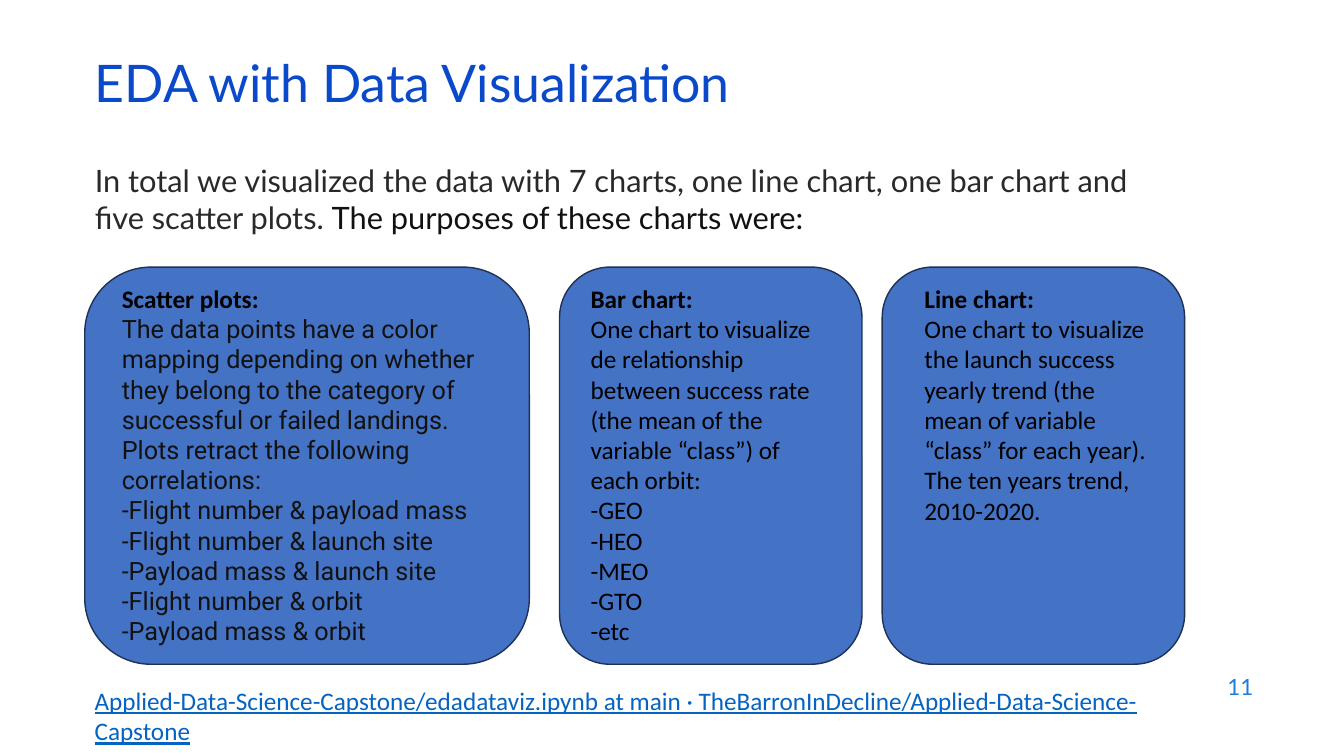
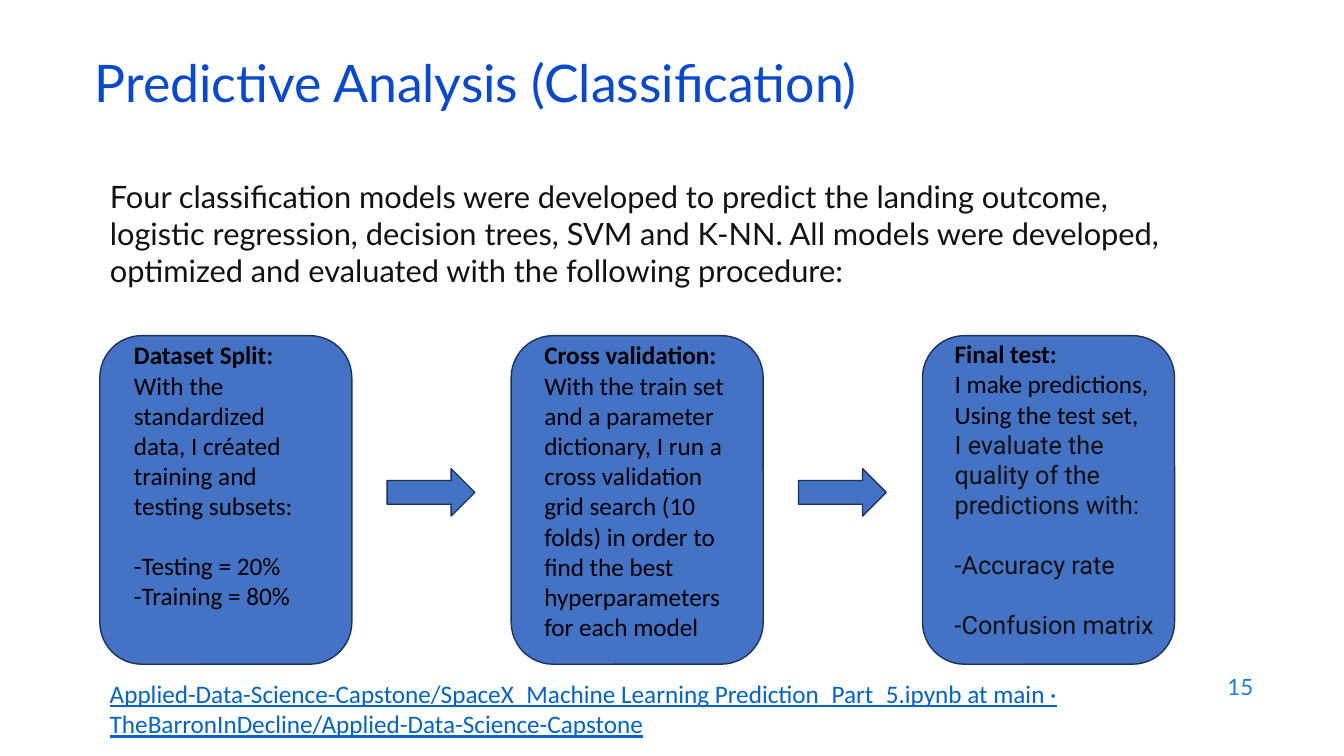
from lxml import etree
from pptx import Presentation
from pptx.dml.color import RGBColor
from pptx.enum.shapes import MSO_SHAPE
from pptx.enum.text import MSO_ANCHOR, MSO_AUTO_SIZE, PP_ALIGN
from pptx.oxml.ns import qn
from pptx.util import Pt

ROUNDED = MSO_SHAPE.ROUNDED_RECTANGLE
ARROW = MSO_SHAPE.RIGHT_ARROW
MIDDLE, TOP = MSO_ANCHOR.MIDDLE, MSO_ANCHOR.TOP
LEFT, RIGHT = PP_ALIGN.LEFT, PP_ALIGN.RIGHT
NO_FIT = MSO_AUTO_SIZE.NONE

PX = 9144
COLORS = {
    "title": "0B49CB", "number": "1C7DDB", "gray": "292929", "ink": "111111",
    "black": "000000", "link": "0563C1", "card": "4472C4", "edge": "1E3256",
}
STYLES = {
    "title": ("Lato", 37, "title"),
    "number": ("Lato", 16, "number"),
    "intro_gray": ("Lato", 22, "gray"),
    "intro": ("Lato", 22, "ink"),
    "heading": ("Calibri", 18, "black"),
    "plain": ("Calibri", 18, "black"),
    "roboto": ("Roboto", 18, "ink"),
    "link": ("Calibri", 18, "link"),
}
LINE_GAP = 21

SLIDES = [
    {
        "number": "11",
        "title": "EDA with Data Visualization",
        "intro_box": (84, 155, 1066, 85),
        "intro": [
            ("In total we visualized the data with 7 charts, one line chart, "
             "one bar chart and five scatter plots. ", "intro_gray"),
            ("The purposes of these charts were:", "intro"),
        ],
        "cards": [(84, 265, 441, 394), (555, 265, 300, 394), (875, 265, 300, 394)],
        "texts": [
            ((111, 276, 387, 374), [
                ("Scatter plots:", "heading", 0),
                ("The data points have a color mapping depending on whether they "
                 "belong to the category of successful or failed landings. Plots "
                 "retract the following correlations:", "roboto", 0),
                ("-Flight number & payload mass", "roboto", 0),
                ("-Flight number & launch site", "roboto", 0),
                ("-Payload mass & launch site", "roboto", 0),
                ("-Flight number & orbit", "roboto", 0),
                ("-Payload mass & orbit", "roboto", 0),
            ]),
            ((576, 276, 253, 374), [
                ("Bar chart:", "heading", 0),
                ("One chart to visualize de relationship between success rate "
                 "(the mean of the variable “class”) of each orbit:", "plain", 0),
                ("-GEO", "plain", 0),
                ("-HEO", "plain", 0),
                ("-MEO", "plain", 0),
                ("-GTO", "plain", 0),
                ("-etc", "plain", 0),
            ]),
            ((907, 276, 243, 252), [
                ("Line chart:", "heading", 0),
                ("One chart to visualize the launch success yearly trend (the mean "
                 "of variable “class” for each year).", "plain", 0),
                ("The ten years trend, 2010-2020.", "plain", 0),
            ]),
        ],
        "arrows": [],
        "link_box": (84, 675, 1091, 71),
        "link": "Applied-Data-Science-Capstone/edadataviz.ipynb at main · "
                "TheBarronInDecline/Applied-Data-Science-Capstone",
    },
    {
        "number": "15",
        "title": "Predictive Analysis (Classification)",
        "intro_box": (99, 171, 1066, 146),
        "intro": [
            ("Four classification models were developed to predict the landing "
             "outcome, logistic regression, decision trees, SVM and K-NN. All "
             "models were developed, optimized and evaluated with the following "
             "procedure:", "intro"),
        ],
        "cards": [(99 + 408 * step, 333, 250, 326) for step in range(3)],
        "texts": [
            ((123, 332, 203, 283), [
                ("Dataset Split:", "heading", 0),
                ("With the standardized data, I créated training and testing "
                 "subsets:", "plain", 0),
                ("-Testing = 20%", "plain", LINE_GAP),
                ("-Training = 80%", "plain", 0),
            ]),
            ((530, 332, 203, 313), [
                ("Cross validation:", "heading", 0),
                ("With the train set and a parameter dictionary, I run a cross "
                 "validation grid search (10 folds) in order to find the best "
                 "hyperparameters for each model", "plain", 0),
            ]),
            ((937, 331, 228, 313), [
                ("Final test:", "heading", 0),
                ("I make predictions,", "plain", 0),
                ("Using the test set,", "plain", 0),
                ("I evaluate the quality of the predictions with:", "roboto", 0),
                ("-Accuracy rate", "roboto", LINE_GAP),
                ("-Confusion matrix", "roboto", LINE_GAP),
            ]),
        ],
        "arrows": [(384 + 408 * step, 465, 87, 47) for step in range(2)],
        "link_box": (99, 668, 1066, 71),
        "link": "Applied-Data-Science-Capstone/SpaceX_Machine Learning "
                "Prediction_Part_5.ipynb at main · "
                "TheBarronInDecline/Applied-Data-Science-Capstone",
    },
]


def style_run(run, style):
    font_name, size, color = STYLES[style]
    run.font.name = font_name
    run.font.size = Pt(size)
    run.font.color.rgb = RGBColor.from_string(COLORS[color])
    run.font.bold = style == "heading"
    run.font.underline = style == "link"


def write_lines(shape, lines, anchor=TOP, align=LEFT):
    frame = shape.text_frame
    frame.text = "\n".join(text for text, _, _ in lines)
    frame.word_wrap = True
    frame.auto_size = NO_FIT
    frame.vertical_anchor = anchor
    for paragraph, (_, style, gap) in zip(frame.paragraphs, lines):
        paragraph.alignment = align
        paragraph.space_before = Pt(gap)
        style_run(paragraph.runs[0], style)


deck = Presentation()
deck.slide_width, deck.slide_height = 1333 * PX, 750 * PX

for content in SLIDES:
    slide = deck.slides.add_slide(deck.slide_layouts[1])
    title, intro = slide.shapes.title, slide.placeholders[1]
    for holder, box in ((title, (84, 59, 1150, 60)), (intro, content["intro_box"])):
        holder.left, holder.top, holder.width, holder.height = [n * PX for n in box]

    write_lines(title, [(content["title"], "title", 0)], MIDDLE)
    title.text_frame.paragraphs[0].line_spacing = 0.7

    opening, *additions = content["intro"]
    write_lines(intro, [(*opening, 0)])
    sentence = intro.text_frame.paragraphs[0]
    for text, style in additions:
        addition = sentence.add_run()
        addition.text = text
        style_run(addition, style)
    properties = sentence._p.get_or_add_pPr()
    properties.set("marL", "0")
    properties.set("indent", "0")
    etree.SubElement(properties, qn("a:buNone"))

    outlines = [(ROUNDED, box) for box in content["cards"]]
    outlines += [(ARROW, box) for box in content["arrows"]]
    for preset, box in outlines:
        block = slide.shapes.add_shape(preset, *[n * PX for n in box])
        block.shadow.inherit = False
        block.fill.solid()
        block.fill.fore_color.rgb = RGBColor.from_string(COLORS["card"])
        block.line.color.rgb = RGBColor.from_string(COLORS["edge"])
        block.line.width = Pt(1)

    captions = [(box, lines, TOP, LEFT) for box, lines in content["texts"]]
    captions += [
        (content["link_box"], [(content["link"], "link", 0)], TOP, LEFT),
        ((953, 659, 300, 44), [(content["number"], "number", 0)], MIDDLE, RIGHT),
    ]
    for box, lines, anchor, align in captions:
        caption = slide.shapes.add_textbox(*[n * PX for n in box])
        write_lines(caption, lines, anchor, align)

deck.save("out.pptx")
